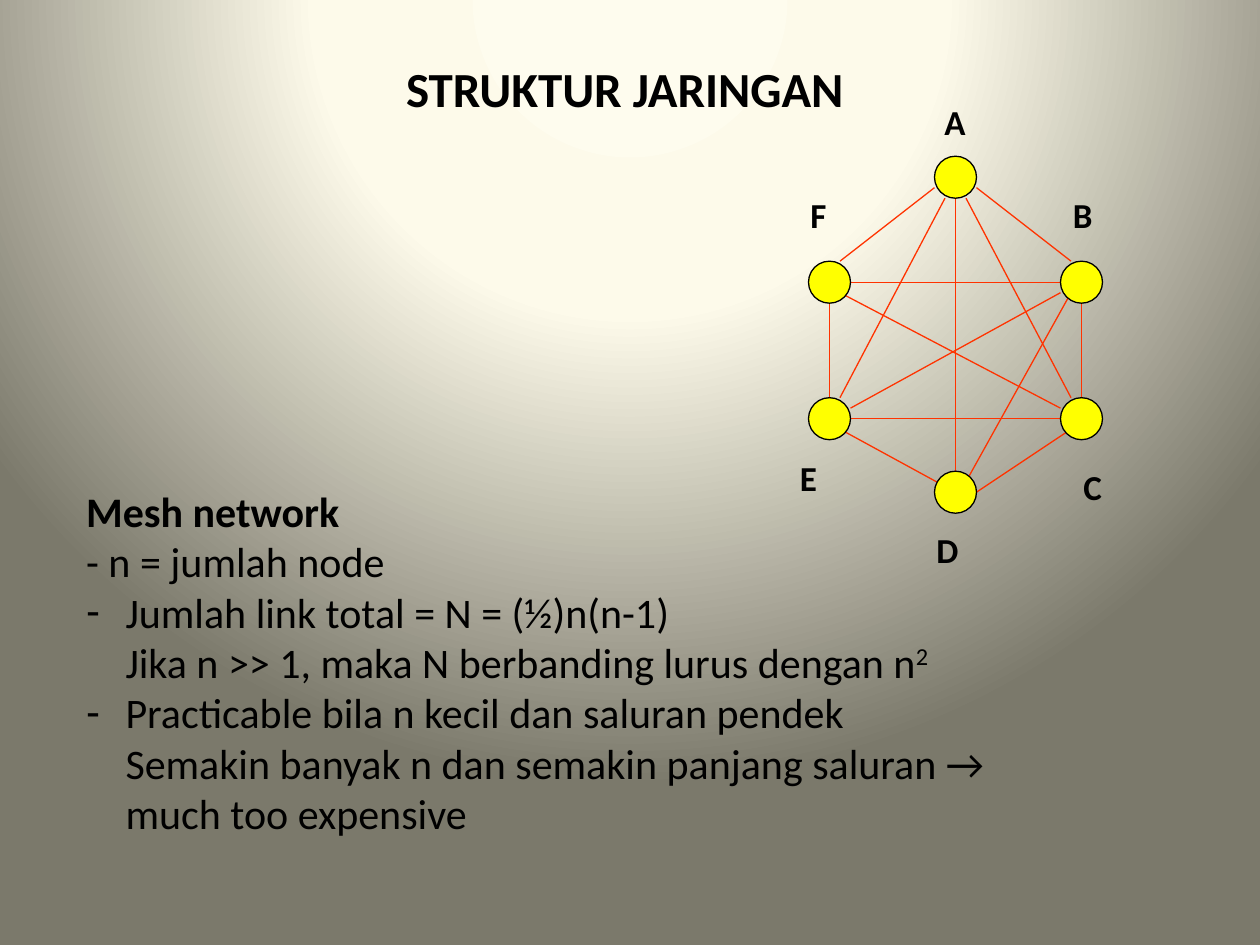
import dataclasses
import lxml.etree
import pptx
import pptx.dml.color
import pptx.enum.shapes
import pptx.enum.text
import pptx.oxml
import pptx.oxml.ns
import pptx.util


@dataclasses.dataclass(frozen=True)
class Theme:
    font: str = "Calibri"
    ink: str = "000000"
    node: str = "FFFF00"
    link: str = "FF3300"
    stops: tuple = ((0, "FEFCEE"), (40, "FDFAEA"), (100, "7B796B"))
    title: int = 28
    body: int = 24
    label: int = 20
    line: float = 0.75


THEME = Theme()
SCALE = 9525
SIZE = 32
INDENT = 30
ALIGN = pptx.enum.text.PP_ALIGN

NODES = {
    "F": (32, 143), "A": (128, 63), "B": (224, 143),
    "C": (224, 247), "D": (128, 303), "E": (32, 247),
}
LABELS = {
    "A": (110, 0), "B": (208, 71), "F": (8, 71),
    "E": (0, 271), "D": (104, 326), "C": (216, 278),
}
LINKS = [
    ("F", 8, -16, "A", -16, 8), ("F", 0, 16, "E", 0, -16),
    ("E", 8, 8, "D", 0, 0), ("A", 16, 8, "B", -8, -16),
    ("B", 0, 16, "C", 0, -16), ("C", -8, 8, "D", 16, 0),
    ("A", -8, 16, "E", 8, -16), ("A", 0, 16, "D", 0, -8),
    ("A", 8, 16, "C", -8, -16), ("E", 16, -8, "B", -16, 8),
    ("E", 16, 0, "C", -16, 0), ("F", 16, 0, "B", -16, 0),
    ("B", -8, 8, "D", 8, -8), ("F", 8, 8, "C", -16, -8),
]
LINES = [
    ("Mesh network", dict(bold=True)),
    ("- n = jumlah node", {}),
    ("Jumlah link total = N = (½)n(n-1)", dict(indent=INDENT, mark="-")),
    ("Jika n >> 1, maka N berbanding lurus dengan n",
     dict(indent=INDENT, power="2")),
    ("Practicable bila n kecil dan saluran pendek",
     dict(indent=INDENT, mark="-")),
    ("Semakin banyak n dan semakin panjang saluran →", dict(indent=INDENT)),
    ("much too expensive", dict(indent=INDENT)),
]


def px(*vals):
    return [pptx.util.Emu(v * SCALE) for v in vals]


def tint(code):
    return pptx.dml.color.RGBColor.from_string(code)


def place(shape, box):
    shape.left, shape.top, shape.width, shape.height = px(*box)


def write(para, text, size, bold=False, align=ALIGN.LEFT, indent=0,
          mark=None, power=None):
    para.alignment = align
    para.space_before = pptx.util.Pt(0)
    props = para._p.get_or_add_pPr()
    props.set("marL", str(indent * SCALE))
    props.set("indent", str(-indent * SCALE if mark else 0))
    kind = "a:buChar" if mark else "a:buNone"
    bullet = lxml.etree.SubElement(props, pptx.oxml.ns.qn(kind))
    if mark:
        bullet.set("char", mark)
    for part in filter(None, (text, power)):
        run = para.add_run()
        run.text = part
        run.font.name = THEME.font
        run.font.size = pptx.util.Pt(size)
        run.font.bold = bold
        run.font.color.rgb = tint(THEME.ink)
        if part == power:
            run._r.get_or_add_rPr().set("baseline", "30000")


def frame(shape, wrap=True):
    text = shape.text_frame
    text.word_wrap = wrap
    text.auto_size = pptx.enum.text.MSO_AUTO_SIZE.NONE
    text.vertical_anchor = pptx.enum.text.MSO_ANCHOR.TOP
    return text


def paint(slide):
    stops = "".join(
        f'<a:gs pos="{pos * 1000}"><a:srgbClr val="{code}"/></a:gs>'
        for pos, code in THEME.stops)
    spaces = pptx.oxml.ns.nsdecls("p", "a")
    slide.element.cSld.insert(0, pptx.oxml.parse_xml(
        f'<p:bg {spaces}><p:bgPr><a:gradFill rotWithShape="1">'
        f'<a:gsLst>{stops}</a:gsLst><a:path path="circle">'
        '<a:fillToRect l="50000" t="-80000" r="50000" b="180000"/>'
        '</a:path></a:gradFill><a:effectLst/></p:bgPr></p:bg>'))


def head(slide, box):
    shape = slide.shapes.title
    place(shape, box)
    write(frame(shape).paragraphs[0], "STRUKTUR JARINGAN", THEME.title,
          bold=True, align=ALIGN.CENTER)


def notes(slide, box):
    shape = slide.placeholders[1]
    place(shape, box)
    text = frame(shape)
    for num, (line, form) in enumerate(LINES):
        para = text.add_paragraph() if num else text.paragraphs[0]
        write(para, line, THEME.body, **form)


def mesh(slide, left, top):
    parts = slide.shapes.add_group_shape().shapes

    def spot(name, dx, dy):
        x, y = NODES[name]
        return px(left + x + dx, top + y + dy)

    for start, sx, sy, end, ex, ey in LINKS:
        link = parts.add_connector(
            pptx.enum.shapes.MSO_CONNECTOR.STRAIGHT,
            *spot(start, sx, sy), *spot(end, ex, ey))
        link.line.color.rgb = tint(THEME.link)
        link.line.width = pptx.util.Pt(THEME.line)
        lxml.etree.SubElement(link._element.spPr,
                              pptx.oxml.ns.qn("a:effectLst"))
    half = SIZE // 2
    for name in NODES:
        node = parts.add_shape(pptx.enum.shapes.MSO_SHAPE.OVAL,
                               *spot(name, -half, -half), *px(SIZE, SIZE))
        node.shadow.inherit = False
        node.fill.solid()
        node.fill.fore_color.rgb = tint(THEME.node)
        node.line.color.rgb = tint(THEME.ink)
        node.line.width = pptx.util.Pt(THEME.line)
    for name, (x, y) in LABELS.items():
        label = parts.add_textbox(*px(left + x, top + y, 38, 41))
        write(frame(label, wrap=False).paragraphs[0], name, THEME.label,
              bold=True)


def main():
    deck = pptx.Presentation()
    deck.slide_width, deck.slide_height = px(960, 720)
    slide = deck.slides.add_slide(deck.slide_layouts[1])
    paint(slide)
    head(slide, (40, 40, 872, 80))
    notes(slide, (56, 365, 848, 281))
    mesh(slide, 600, 72)
    deck.save("out.pptx")


if __name__ == "__main__":
    main()
